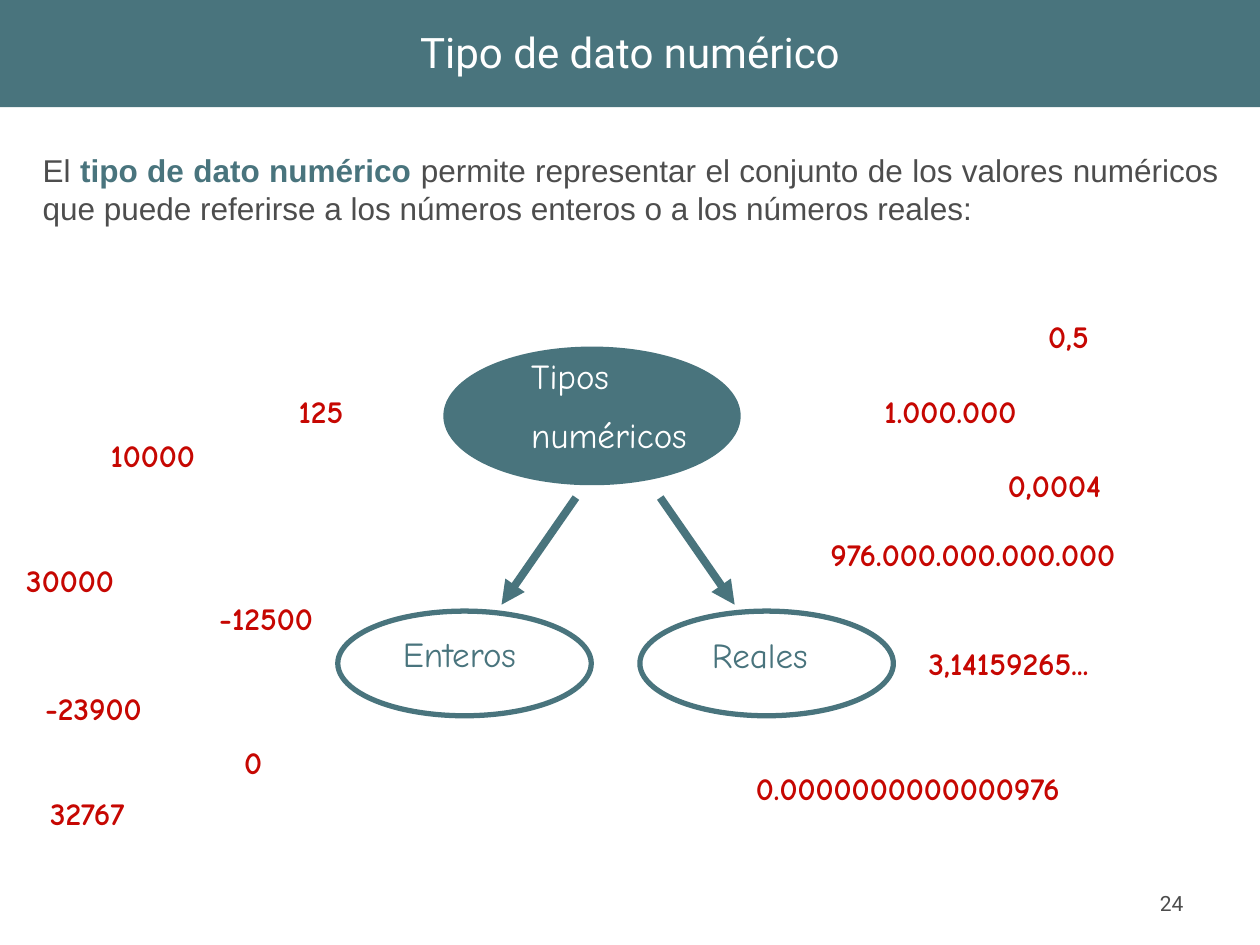
from lxml import etree
from pptx import Presentation
from pptx.dml.color import RGBColor
from pptx.enum.shapes import MSO_CONNECTOR, MSO_SHAPE
from pptx.enum.text import MSO_ANCHOR, MSO_AUTO_SIZE, PP_ALIGN
from pptx.oxml.ns import qn
from pptx.util import Cm, Pt

OVAL, STRAIGHT = MSO_SHAPE.OVAL, MSO_CONNECTOR.STRAIGHT
LEFT, CENTER, RIGHT, JUSTIFY = PP_ALIGN.LEFT, PP_ALIGN.CENTER, PP_ALIGN.RIGHT, PP_ALIGN.JUSTIFY
TOP, MIDDLE, BOTTOM = MSO_ANCHOR.TOP, MSO_ANCHOR.MIDDLE, MSO_ANCHOR.BOTTOM
COLORS = {"teal": "49747D", "grey": "4D4D4D", "red": "C60702", "white": "FFFFFF"}

# Content; all lengths in cm
TITLE = "Tipo de dato numérico"
INTRO = [
    ("El ", "grey", False),
    ("tipo de dato numérico", "teal", True),
    (" permite representar el conjunto de los valores numéricos que puede "
     "referirse a los números enteros o a los números reales:", "grey", False),
]
PAGE = "24"
# Example numbers: text, left, top, width
INTEGERS = [
    ("125", 5.77, 7.77, 2.01),
    ("10000", 1.98, 8.66, 3.3),
    ("30000", 0.28, 11.18, 2.79),
    ("-12500", 4.17, 11.96, 3.2),
    ("-23900", 0.66, 13.77, 3),
    ("0", 4.67, 14.86, 1.4),
    ("32767", 0.76, 15.88, 3),
]
REALS = [
    ("0,5", 20.88, 6.27, 2.01),
    ("1.000.000", 17.58, 7.77, 3.99),
    ("0,0004", 20.07, 9.27, 3.2),
    ("976.000.000.000.000", 16.49, 10.67, 8.1),
    ("3,14159265...", 18.47, 12.85, 5.5),
    ("0.0000000000000976", 14.99, 15.37, 8.5),
]
# Nodes: lines, oval box, label box, fill, text colour
NODES = [
    (["Tipos", "numéricos"], (8.99, 7.04, 5.89, 2.69), (9.19, 7.11, 5.05, 2.24), "teal", "white"),
    (["Enteros"], (6.81, 12.32, 5.11, 2.11), (6.6, 12.73, 5.05, 1.02), None, "teal"),
    (["Reales"], (12.9, 12.32, 5.11, 2.11), (12.83, 12.75, 5.05, 1.02), None, "teal"),
]
# Arrows: start x, end x
ARROWS = [(11.61, 10.11), (13.31, 14.81)]
ARROW_TOP, ARROW_BOTTOM = 10.03, 12.19
NUMBER_H = 1.02


def rgb(name):
    return RGBColor.from_string(COLORS[name])


def cm(*values):
    return [Cm(v) for v in values]


def style(p, font, size, color, bold=False):
    for r in p.runs:
        r.font.name, r.font.size, r.font.bold = font, Pt(size), bold
        r.font.color.rgb = rgb(color)


def add_text(box, text, font, size, color, bold=False, align=LEFT, anchor=TOP):
    tf = s.shapes.add_textbox(*cm(*box)).text_frame
    tf.word_wrap, tf.vertical_anchor = True, anchor
    tf.text = text
    for p in tf.paragraphs:
        p.alignment = align
        style(p, font, size, color, bold)
    return tf


prs = Presentation()
prs.slide_width, prs.slide_height = cm(25.4, 19.05)
s = prs.slides.add_slide(prs.slide_layouts[5])

# Title band
title = s.shapes.title
title.left, title.top, title.width, title.height = cm(0, -0.08, 25.4, 2.24)
title.fill.solid()
title.fill.fore_color.rgb = rgb("teal")
tf = title.text_frame
tf.text = TITLE
tf.auto_size, tf.vertical_anchor = MSO_AUTO_SIZE.NONE, MIDDLE
tf.paragraphs[0].alignment = CENTER
style(tf.paragraphs[0], "Roboto", 24, "white")

# Introduction
p = add_text((0.61, 2.92, 24.21, 2.21), "", "Arial", 18, "grey", align=JUSTIFY).paragraphs[0]
for text, color, bold in INTRO:
    r = p.add_run()
    r.text = text
    r.font.name, r.font.size, r.font.bold = "Arial", Pt(18), bold
    r.font.color.rgb = rgb(color)

# Arrows
for x1, x2 in ARROWS:
    arrow = s.shapes.add_connector(STRAIGHT, *cm(x1, ARROW_TOP, x2, ARROW_BOTTOM))
    arrow.line.color.rgb = rgb("teal")
    arrow.line.width = Pt(4.5)
    etree.SubElement(arrow.line._get_or_add_ln(), qn("a:tailEnd"), type="triangle")
    etree.SubElement(arrow._element.spPr, qn("a:effectLst"))

# Example numbers
for text, left, top, width in REALS + INTEGERS:
    add_text((left, top, width, NUMBER_H), text, "Comic Neue", 18, "red", bold=True)

# Ovals and their labels
for lines, oval_box, label_box, fill, color in NODES:
    oval = s.shapes.add_shape(OVAL, *cm(*oval_box))
    oval.shadow.inherit = False
    if fill:
        oval.fill.solid()
        oval.fill.fore_color.rgb = rgb(fill)
    else:
        oval.fill.background()
    oval.line.color.rgb = rgb("teal")
    oval.line.width = Pt(3)
    tf = add_text(label_box, "\n".join(lines), "Comic Neue", 20, color)
    for i, p in enumerate(tf.paragraphs):
        pPr = p._p.get_or_add_pPr()
        pPr.set("marL", str(Cm(2.06)))
        pPr.set("indent", str(Cm(-0.79)))
        p.line_spacing = 0.9
        if i:
            p.space_before = Pt(12.5)

# Page number
add_text((18.19, 17.32, 5.92, 1.27), PAGE, "Roboto", 12, "grey", align=RIGHT, anchor=BOTTOM)

prs.save("out.pptx")
